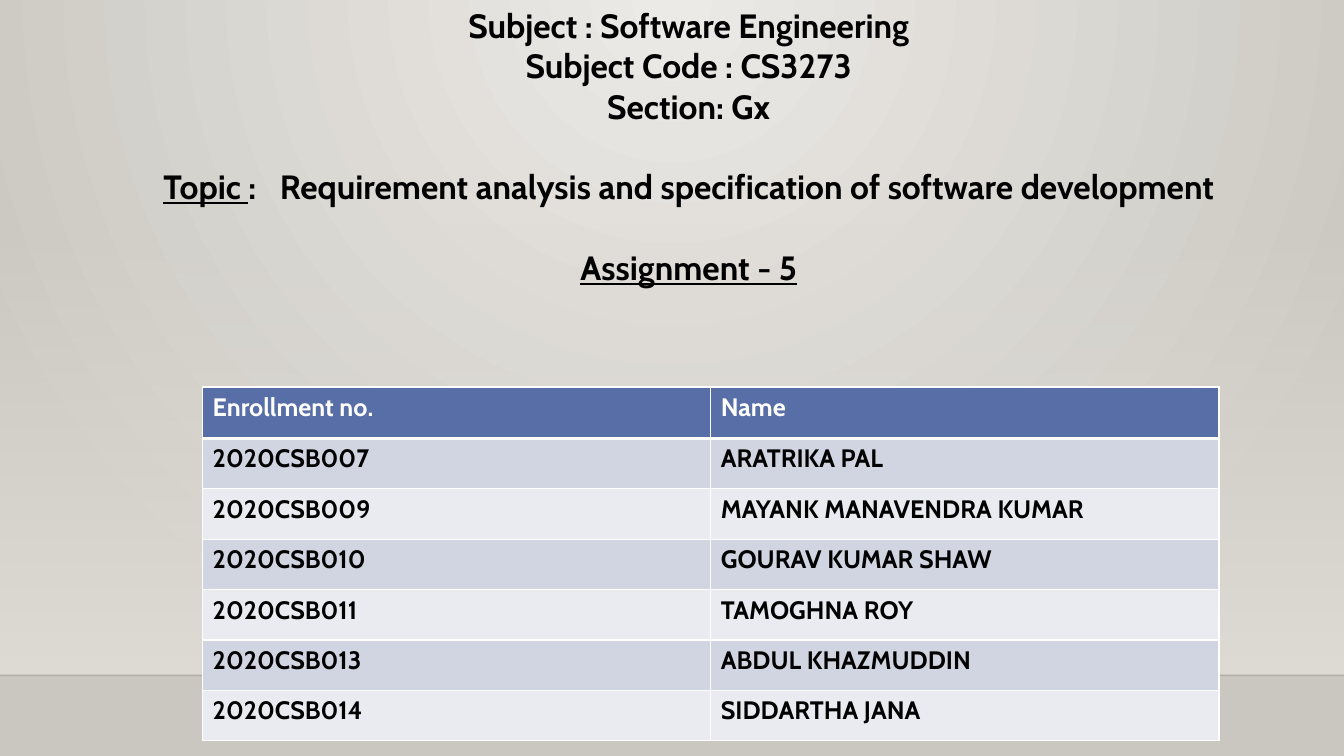
"""Build the title slide of a software engineering assignment."""
from pptx import Presentation, util as u
from pptx.dml.color import RGBColor
from pptx.enum import shapes, text
from pptx.oxml import parse_xml
from pptx.oxml.ns import nsdecls, qn

Inches, Pt = u.Inches, u.Pt
FONT = "Cabin"
COLORS = {
    "glow": "ECEAE7", "edge": "CAC7C1", "wall": "DFDBD5", "floor": "000001",
    "header": "586EA6", "odd": "D1D5E1", "even": "EAEBF1",
    "white": "FFFFFF", "black": "000000",
}
HEADING = [
    (0, [("Subject : Software Engineering", False, 0)]),
    (0, [("Subject Code : CS3273", False, 0)]),
    (0, [("Section: Gx", False, 0)]),
    (28.8, [("Topic ", True, 0), (":", False, 0), (" ", False, 11.5),
            ("Requirement analysis and specification of software development", False, 0)]),
    (28.8, [("Assignment - 5", True, 0)]),
]
STUDENTS = [
    ("Enrollment no.", "Name"),
    ("2020CSB007", "ARATRIKA PAL"),
    ("2020CSB009", "MAYANK MANAVENDRA KUMAR"),
    ("2020CSB010", "GOURAV KUMAR SHAW"),
    ("2020CSB011", "TAMOGHNA ROY"),
    ("2020CSB013", "ABDUL KHAZMUDDIN"),
    ("2020CSB014", "SIDDARTHA JANA"),
]


def rgb(name):
    return RGBColor.from_string(COLORS[name])


def add_run(p, words, size, color, underline=False):
    r = p.add_run()
    r.text = words
    f = r.font
    f.name, f.size, f.bold, f.underline = FONT, Pt(size), True, underline
    f.color.rgb = rgb(color)
    return r


def set_gradient(holder, start, end, direction, start_alpha=100):
    solid = next(holder.iter(qn("a:solidFill")))
    solid.getparent().replace(solid, parse_xml(
        f'<a:gradFill {nsdecls("a")} rotWithShape="1"><a:gsLst>'
        f'<a:gs pos="0"><a:srgbClr val="{COLORS[start]}">'
        f'<a:alpha val="{start_alpha * 1000}"/></a:srgbClr></a:gs>'
        f'<a:gs pos="100000"><a:srgbClr val="{COLORS[end]}"/></a:gs>'
        f'</a:gsLst>{direction}</a:gradFill>'))


def add_backdrop(s):
    s.background.fill.solid()
    set_gradient(s._element.cSld, "glow", "edge",
                 '<a:path path="circle"><a:fillToRect l="43000" t="0" r="43000" b="100000"/></a:path>')
    wall = s.shapes.add_shape(shapes.MSO_SHAPE.RECTANGLE, 0, Inches(2.21),
                              Inches(13.33), Inches(4.49))
    wall.shadow.inherit = False
    wall.line.fill.background()
    wall.fill.solid()
    set_gradient(wall._element.spPr, "wall", "wall", '<a:lin ang="5400000" scaled="0"/>', 0)


def add_floor_line(s):
    y = Inches(6.7)
    line = s.shapes.add_connector(shapes.MSO_CONNECTOR.STRAIGHT, 0, y, Inches(13.33), y)
    line.line.width = Pt(1)
    line.line.color.rgb = rgb("floor")
    sp_pr = line._element.spPr
    color = next(sp_pr.iter(qn("a:srgbClr")))
    color.append(parse_xml(f'<a:alpha {nsdecls("a")} val="20000"/>'))
    sp_pr.append(parse_xml(f'<a:effectLst {nsdecls("a")}/>'))


def add_heading(s):
    title = s.shapes.title
    title.left, title.top = Inches(1.24), Inches(0)
    title.width, title.height = Inches(11.18), Inches(3.33)
    tf = title.text_frame
    tf.word_wrap = True
    tf.auto_size = text.MSO_AUTO_SIZE.NONE
    tf.vertical_anchor = text.MSO_ANCHOR.TOP
    for i, (gap, runs) in enumerate(HEADING):
        p = tf.add_paragraph() if i else tf.paragraphs[0]
        p.alignment = text.PP_ALIGN.CENTER
        p.line_spacing, p.space_before = 1.0, Pt(gap)
        for words, underline, spacing in runs:
            r = add_run(p, words, 24, "black", underline)
            if spacing:
                r._r.get_or_add_rPr().set("spc", str(round(spacing * 100)))


def set_borders(cell, row):
    widths = {"L": 1, "R": 1, "T": 3 if row == 1 else 1, "B": 3 if row == 0 else 1}
    for side, width in widths.items():
        cell._tc.get_or_add_tcPr().append(parse_xml(
            f'<a:ln{side} {nsdecls("a")} w="{Pt(width)}"><a:solidFill>'
            f'<a:srgbClr val="{COLORS["white"]}"/></a:solidFill></a:ln{side}>'))


def add_students(s):
    table = s.shapes.add_table(len(STUDENTS), 2, Inches(2.01), Inches(3.84),
                               Inches(10.08), Inches(3.54)).table
    for i, student in enumerate(STUDENTS):
        table.rows[i].height = Inches(0.5 if i else 0.51)
        fill = ("odd" if i % 2 else "even") if i else "header"
        for j, words in enumerate(student):
            cell = table.cell(i, j)
            set_borders(cell, i)
            cell.fill.solid()
            cell.fill.fore_color.rgb = rgb(fill)
            add_run(cell.text_frame.paragraphs[0], words, 18, "black" if i else "white")


def main():
    prs = Presentation()
    prs.slide_width, prs.slide_height = Inches(13.33), Inches(7.5)
    s = prs.slides.add_slide(prs.slide_layouts[5])
    add_backdrop(s)
    add_floor_line(s)
    add_students(s)
    add_heading(s)
    s.shapes._spTree.append(s.shapes.title._element)
    prs.save("out.pptx")


if __name__ == "__main__":
    main()
